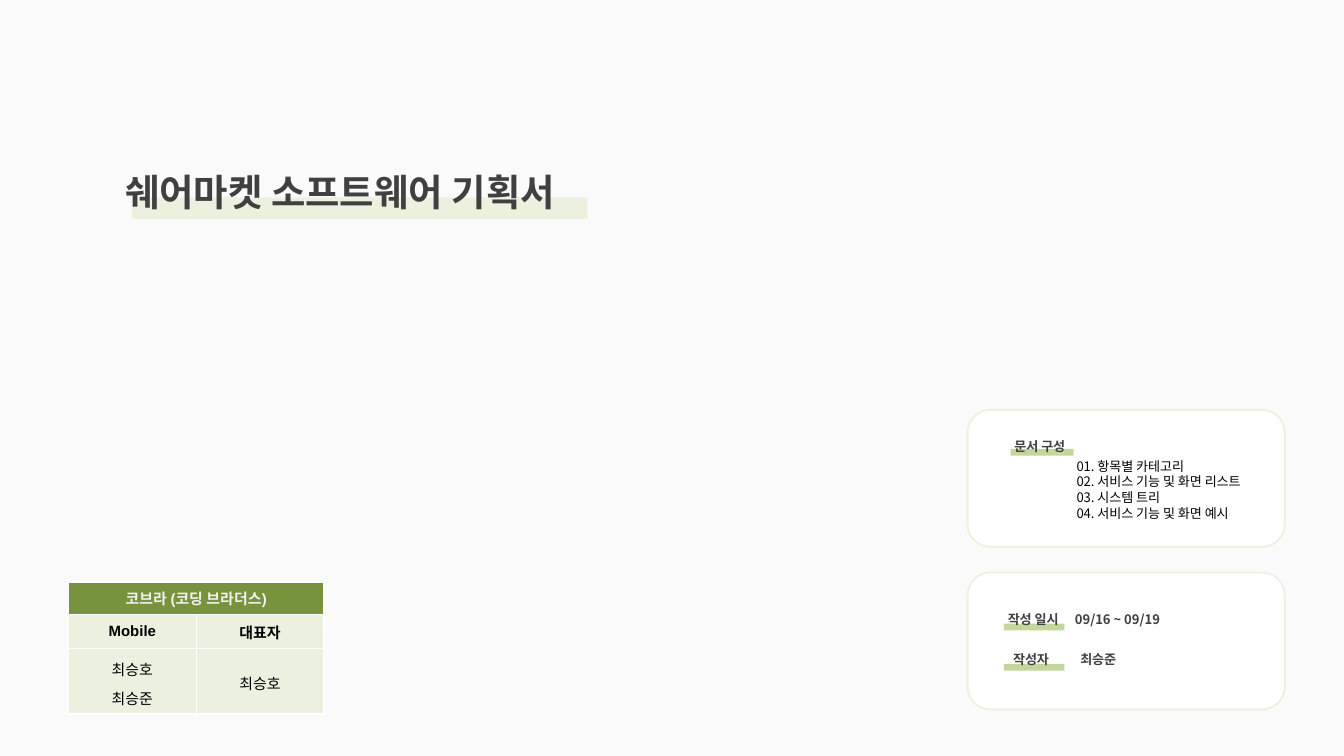
from typing import NamedTuple

from lxml import etree
from pptx import Presentation
from pptx.dml.color import RGBColor
from pptx.enum.shapes import MSO_SHAPE
from pptx.enum.text import MSO_ANCHOR, MSO_AUTO_SIZE, PP_ALIGN
from pptx.oxml.ns import qn
from pptx.util import Pt

RECT, ROUND = MSO_SHAPE.RECTANGLE, MSO_SHAPE.ROUNDED_RECTANGLE
TOP, MIDDLE = MSO_ANCHOR.TOP, MSO_ANCHOR.MIDDLE
LEFT, CENTER = PP_ALIGN.LEFT, PP_ALIGN.CENTER
FIT = MSO_AUTO_SIZE.SHAPE_TO_FIT_TEXT

KOREAN, LATIN = "Noto Sans CJK KR", "Arial"
COLORS = {
    "page": "FAFAFA", "white": "FFFFFF", "pale": "EBF1DE", "light": "C3D69B",
    "green": "77933C", "head": "F2F2F2", "dark": "404040", "black": "000000",
}


class Box(NamedTuple):
    x: float
    y: float
    w: float
    h: float


class Label(NamedTuple):
    text: str
    box: Box
    marker: Box
    tab: float = 0


class CellSpec(NamedTuple):
    row: int
    col: int
    lines: list[str]
    fill: str = "pale"
    color: str = "black"
    bold: bool = False


CARDS = [Box(518.4, 219.6 + 87.1 * i, 169.9, 73.4) for i in range(2)]
LABELS = [
    Label("작성 일시\t09/16 ~ 09/19", Box(532.8, 324, 128.2, 15.8),
          Box(537.8, 334.1, 32.4, 3.6), 36.5),
    Label("문서 구성", Box(536.4, 231.1, 55.4, 15.8), Box(541.4, 240.5, 33.8, 3.6)),
    Label("작성자\t최승준", Box(535.7, 345.6, 124.6, 15.8),
          Box(537.8, 355.7, 32.4, 3.6), 42.5),
]
CONTENTS = ["01. 항목별 카테고리", "02. 서비스 기능 및 화면 리스트",
            "03. 시스템 트리", "04. 서비스 기능 및 화면 예시"]
TITLE_BOX, TITLE_MARKER = Box(59.8, 87.1, 272.2, 53.3), Box(70.6, 105.8, 244.1, 11.5)
LIST_BOX = Box(569.5, 241.9, 118.8, 41)
TABLE_BOX = Box(36.7, 311.8, 136.8, 67)
ROW_HEIGHTS = [16.6, 18, 32.4]
CELLS = [
    CellSpec(0, 0, ["코브라 (코딩 브라더스)"], "green", "head", True),
    CellSpec(1, 0, ["Mobile"], bold=True),
    CellSpec(1, 1, ["대표자"], bold=True),
    CellSpec(2, 0, ["최승호", "최승준"]),
    CellSpec(2, 1, ["최승호"]),
]


def rgb(name: str) -> RGBColor:
    return RGBColor.from_string(COLORS[name])


def points(box: Box) -> list[Pt]:
    return [Pt(v) for v in box]


def style_run(r, size: float, color: str, bold: bool, latin: str = KOREAN) -> None:
    r.font.size, r.font.bold, r.font.name = Pt(size), bold, latin
    r.font.color.rgb = rgb(color)
    etree.SubElement(r.font._element, qn("a:ea"), typeface=KOREAN)


def add_block(s, kind, box: Box, fill: str, line: str | None = None) -> None:
    sp = s.shapes.add_shape(kind, *points(box))
    sp.shadow.inherit = False
    sp.fill.solid()
    sp.fill.fore_color.rgb = rgb(fill)
    if line:
        sp.line.color.rgb = rgb(line)
        sp.line.width = Pt(1)
    else:
        sp.line.fill.background()


def write_text(sp, box: Box, lines: list[str], size: float, color: str,
               bold: bool, tab: float = 0) -> None:
    """Place a text shape and fill it with tight, unbulleted lines."""
    sp.left, sp.top, sp.width, sp.height = points(box)
    tf = sp.text_frame
    tf.text = "\n".join(lines)
    tf.word_wrap, tf.auto_size, tf.vertical_anchor = True, FIT, TOP
    for p in tf.paragraphs:
        p.alignment, p.line_spacing, p.space_before = LEFT, Pt(size * 1.2), Pt(0)
        pPr = p._p.get_or_add_pPr()
        pPr.set("marL", "0")
        pPr.set("indent", "0")
        etree.SubElement(pPr, qn("a:buNone"))
        if tab:
            tabs = etree.SubElement(pPr, qn("a:tabLst"))
            etree.SubElement(tabs, qn("a:tab"), pos=str(int(Pt(tab))), algn="l")
        for r in p.runs:
            style_run(r, size, color, bold)


def add_borders(cell, widths: dict[str, float]) -> None:
    tcPr = cell._tc.get_or_add_tcPr()
    for side, width in widths.items():
        ln = etree.SubElement(tcPr, qn(f"a:ln{side}"), w=str(int(Pt(width))))
        fill = etree.SubElement(ln, qn("a:solidFill"))
        etree.SubElement(fill, qn("a:srgbClr"), val=COLORS["white"])


def fill_cell(cell, spec: CellSpec) -> None:
    inner, head = 0.25, spec.row == 0
    add_borders(cell, {
        "L": 1 if head else inner,
        "R": 1 if head or spec.col == 1 else inner,
        "T": 1 if spec.row < 2 else inner,
        "B": inner if spec.row == 1 else 1,
    })
    cell.fill.solid()
    cell.fill.fore_color.rgb = rgb(spec.fill)
    cell.vertical_anchor = MIDDLE
    cell.margin_top = cell.margin_bottom = Pt(2.9)
    cell.text_frame.text = "\n".join(spec.lines)
    for p in cell.text_frame.paragraphs:
        p.alignment = CENTER
        if spec.row == 2:
            p.line_spacing, p.space_before = 1.2, Pt(1.6)
        for r in p.runs:
            style_run(r, 8, spec.color, spec.bold, LATIN)


def add_team_table(s) -> None:
    table = s.shapes.add_table(3, 2, *points(TABLE_BOX)).table
    for row, height in zip(table.rows, ROW_HEIGHTS):
        row.height = Pt(height)
    table.cell(0, 0).merge(table.cell(0, 1))
    for spec in CELLS:
        fill_cell(table.cell(spec.row, spec.col), spec)


def main() -> None:
    prs = Presentation()
    prs.slide_width, prs.slide_height = Pt(720), Pt(405)
    s = prs.slides.add_slide(prs.slide_layouts[1])
    s.background.fill.solid()
    s.background.fill.fore_color.rgb = rgb("page")

    add_team_table(s)
    for card in CARDS:
        add_block(s, ROUND, card, "white", "pale")
    for label in LABELS:
        add_block(s, RECT, label.marker, "light")
        sp = s.shapes.add_textbox(*points(label.box))
        write_text(sp, label.box, [label.text], 7, "dark", True, label.tab)
    add_block(s, RECT, TITLE_MARKER, "pale")

    title, body = s.shapes.title, s.placeholders[1]
    write_text(body, LIST_BOX, CONTENTS, 7, "black", False)
    write_text(title, TITLE_BOX, ["쉐어마켓 소프트웨어 기획서"], 20, "dark", True)
    for sp in (body, title):  # bring in front of the cards and marker
        s.shapes._spTree.append(sp._element)

    prs.save("out.pptx")


if __name__ == "__main__":
    main()
